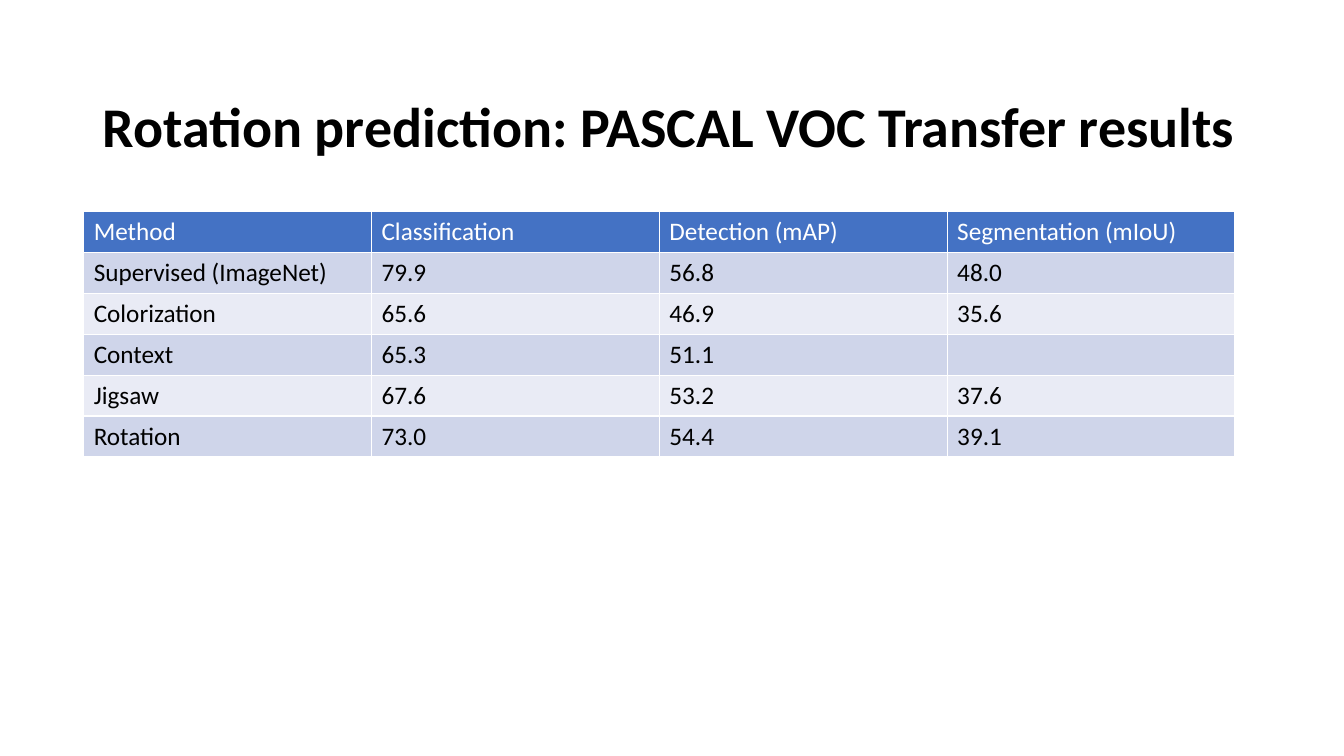
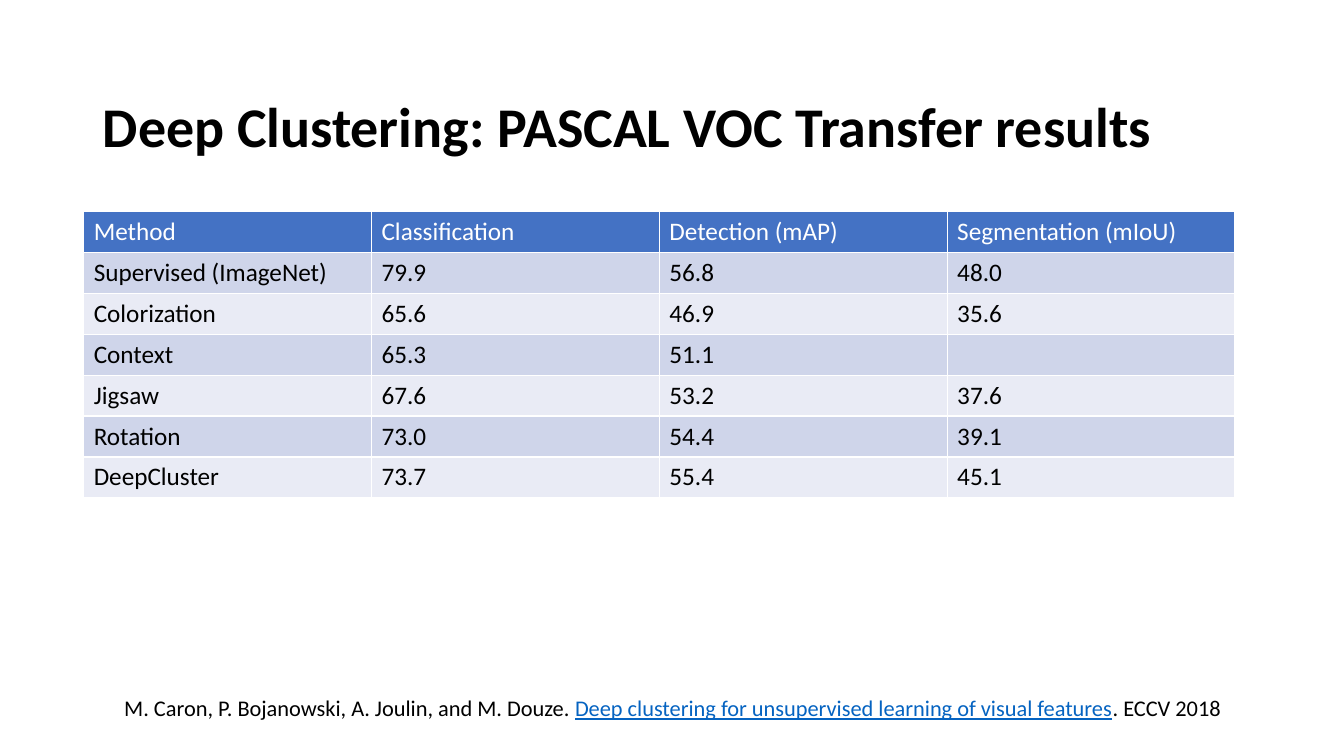
import pptx
import pptx.dml.color
import pptx.enum.text
import pptx.util

COLORS = {
    "ink": "000000",
    "header_text": "FFFFFF",
    "header": "4472C4",
    "band_dark": "CFD5EA",
    "band_light": "E9EBF5",
    "link": "0563C1",
}
FONT = "Calibri"
WIDTH, HEIGHT = pptx.util.Inches(13.33), pptx.util.Inches(7.5)
TITLE_BOX = (0.92, 0.88, 11.5, 0.75)
CITATION_BOX = (0.38, 6.84, 12.58, 0.37)
TABLE_LEFT, TABLE_TOP, TABLE_WIDTH = 0.83, 2.1, 11.42
ROW_HEIGHT = pptx.util.Pt(29.2)

HEADINGS = ("Method", "Classification", "Detection (mAP)", "Segmentation (mIoU)")
ROTATION_RESULTS = [
    ("Supervised (ImageNet)", "79.9", "56.8", "48.0"),
    ("Colorization", "65.6", "46.9", "35.6"),
    ("Context", "65.3", "51.1", ""),
    ("Jigsaw", "67.6", "53.2", "37.6"),
    ("Rotation", "73.0", "54.4", "39.1"),
]
CLUSTER_RESULTS = ROTATION_RESULTS + [("DeepCluster", "73.7", "55.4", "45.1")]
CLUSTER_CITATION = [
    ("M. Caron, P. Bojanowski, A. Joulin, and M. Douze. ", "ink"),
    ("Deep clustering for unsupervised learning of visual features", "link"),
    (". ECCV 2018", "ink"),
]
SLIDES = [
    ("Rotation prediction: PASCAL VOC Transfer results", ROTATION_RESULTS, []),
    ("Deep Clustering: PASCAL VOC Transfer results", CLUSTER_RESULTS, CLUSTER_CITATION),
]


def rgb(name):
    return pptx.dml.color.RGBColor.from_string(COLORS[name])


def style(font, size, color, bold=False):
    font.name = FONT
    font.size = pptx.util.Pt(size)
    font.bold = bold
    font.color.rgb = rgb(color)


def set_title(page, text):
    title = page.shapes.title
    title.left, title.top, title.width, title.height = map(pptx.util.Inches, TITLE_BOX)
    frame = title.text_frame
    frame.text = text
    frame.word_wrap = True
    frame.auto_size = pptx.enum.text.MSO_AUTO_SIZE.NONE
    frame.vertical_anchor = pptx.enum.text.MSO_ANCHOR.BOTTOM
    para = frame.paragraphs[0]
    para.alignment = pptx.enum.text.PP_ALIGN.LEFT
    para.line_spacing = 0.9
    style(para.runs[0].font, 40, "ink", bold=True)


def add_results(page, results):
    rows = [HEADINGS] + results
    table = page.shapes.add_table(
        len(rows),
        len(HEADINGS),
        pptx.util.Inches(TABLE_LEFT),
        pptx.util.Inches(TABLE_TOP),
        pptx.util.Inches(TABLE_WIDTH),
        ROW_HEIGHT * len(rows),
    ).table
    for row_index, values in enumerate(rows):
        if row_index == 0:
            fill, color = "header", "header_text"
        else:
            fill, color = ("band_dark" if row_index % 2 else "band_light"), "ink"
        for column_index, value in enumerate(values):
            cell = table.cell(row_index, column_index)
            cell.text_frame.text = value
            cell.fill.solid()
            cell.fill.fore_color.rgb = rgb(fill)
            for span in cell.text_frame.paragraphs[0].runs:
                style(span.font, 18, color)


def add_citation(page, parts):
    box = page.shapes.add_textbox(*map(pptx.util.Inches, CITATION_BOX))
    frame = box.text_frame
    frame.word_wrap = True
    frame.auto_size = pptx.enum.text.MSO_AUTO_SIZE.SHAPE_TO_FIT_TEXT
    para = frame.paragraphs[0]
    para.alignment = pptx.enum.text.PP_ALIGN.CENTER
    for text, color in parts:
        span = para.add_run()
        span.text = text
        style(span.font, 16, color)
        span.font.underline = color == "link"


def main():
    deck = pptx.Presentation()
    deck.slide_width, deck.slide_height = WIDTH, HEIGHT
    title_only = deck.slide_layouts.get_by_name("Title Only")
    for title, results, citation in SLIDES:
        page = deck.slides.add_slide(title_only)
        set_title(page, title)
        if citation:
            add_citation(page, citation)
        add_results(page, results)
    deck.save("out.pptx")


if __name__ == "__main__":
    main()
